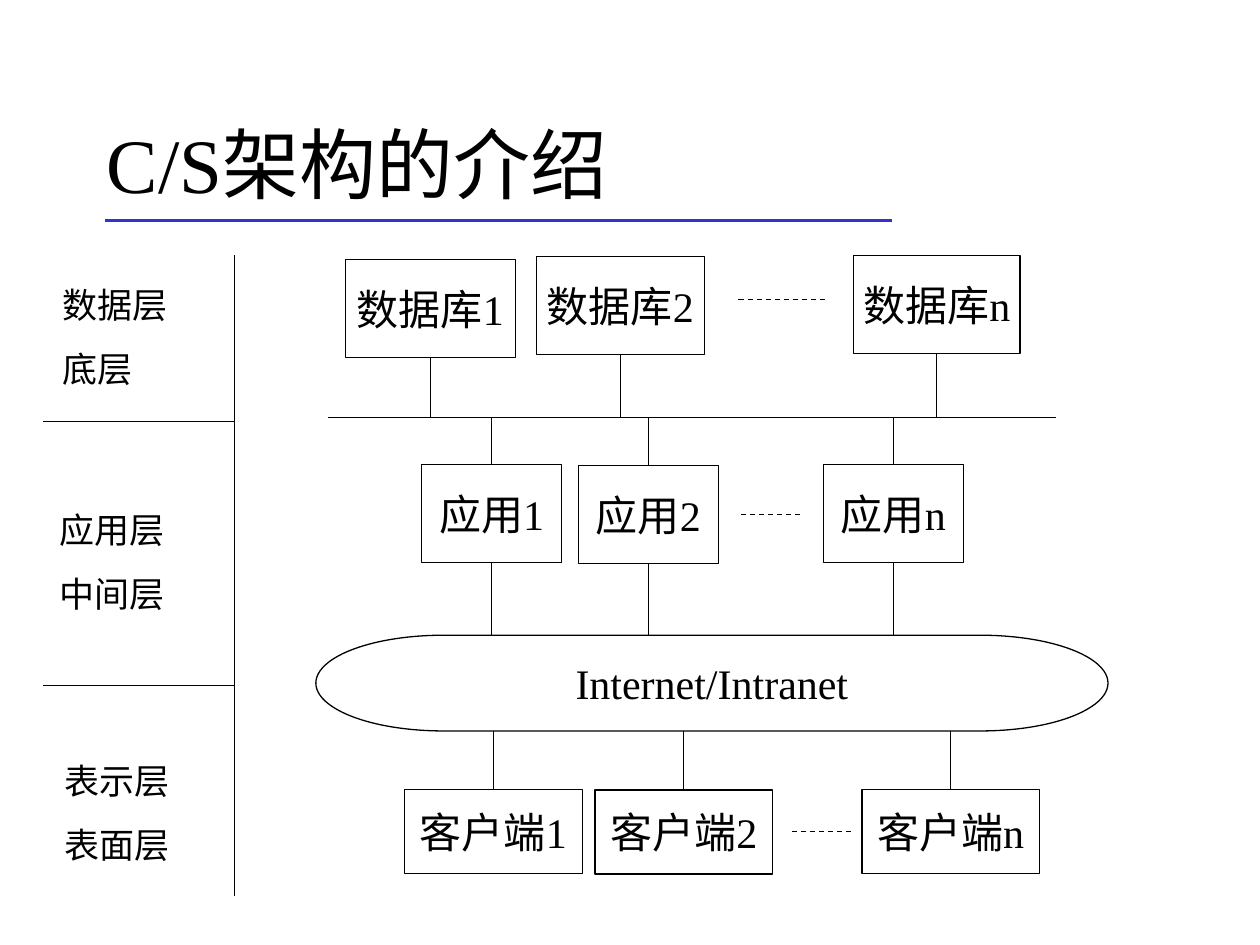
from typing import NamedTuple

from lxml.etree import SubElement
from pptx import Presentation
from pptx.dml.color import RGBColor
from pptx.enum.dml import MSO_LINE_DASH_STYLE as Dash
from pptx.enum.shapes import MSO_CONNECTOR as Wire, MSO_SHAPE as Form
from pptx.enum.text import MSO_ANCHOR as Anchor, PP_ALIGN as Align
from pptx.oxml.ns import qn
from pptx.util import Pt

INK = "000000"
BLUE = "3333CC"
FONT = "Times New Roman"
BUS = 238.5
NET_TOP, NET_HIGH = 363, 54.7
NET_END = NET_TOP + NET_HIGH


class Box(NamedTuple):
    text: str
    left: float
    top: float
    wide: float


class Tier(NamedTuple):
    boxes: list[Box]
    high: float
    above: float | None
    below: float | None
    dots: tuple[float, float, float]


class Label(NamedTuple):
    lines: list[str]
    left: float
    top: float


class Rule(NamedTuple):
    x1: float
    y1: float
    x2: float
    y2: float
    color: str = INK
    width: float = 0.75


TIERS = [
    Tier([Box("数据库1", 197.3, 148.5, 97.3), Box("数据库2", 306.5, 146.5, 96),
          Box("数据库n", 487.8, 146, 95)], 56, None, BUS, (422, 472, 171)),
    Tier([Box("应用1", 241, 265.5, 80), Box("应用2", 330.5, 266, 80),
          Box("应用n", 470.5, 265.5, 80)], 56, BUS, NET_TOP, (423.5, 458, 294)),
    Tier([Box("客户端1", 231.2, 451, 101.5), Box("客户端2", 340, 451.5, 101.5),
          Box("客户端n", 492.5, 451, 101.5)], 48, NET_END, None, (452.5, 487, 475)),
]
LABELS = [
    Label(["数据层", "底层"], 28.5, 158.5),
    Label(["应用层", "中间层"], 27, 287.3),
    Label(["表示层", "表面层"], 30, 430.5),
]
RULES = [
    Rule(60, 126, 510, 126, BLUE, 2.25),
    Rule(187.2, BUS, 603.5, BUS),
    Rule(134, 146, 134, 512),
    Rule(134, 241, 24.5, 241),
    Rule(134, 391.7, 24.5, 391.7),
]


def paint(target, color: str) -> None:
    target.rgb = RGBColor.from_string(color)


def write(shape, lines: list[str], *, size: float, align=Align.LEFT,
          anchor=Anchor.MIDDLE, wrap: bool = True, before: float = 0) -> None:
    frame = shape.text_frame
    frame.word_wrap = wrap
    frame.vertical_anchor = anchor
    frame.text = "\n".join(lines)
    for para in frame.paragraphs:
        para.alignment = align
        para.space_before = Pt(before)
        font = para.runs[0].font
        font.name = FONT
        font.size = Pt(size)
        paint(font.color, INK)


def node(slide, form, box: Box, high: float):
    shape = slide.shapes.add_shape(
        form, Pt(box.left), Pt(box.top), Pt(box.wide), Pt(high))
    shape.shadow.inherit = False
    shape.fill.background()
    paint(shape.line.color, INK)
    shape.line.width = Pt(0.75)
    write(shape, [box.text], size=24, align=Align.CENTER, wrap=False)
    return shape


def draw(slide, rule: Rule, dash=None):
    wire = slide.shapes.add_connector(
        Wire.STRAIGHT, Pt(rule.x1), Pt(rule.y1), Pt(rule.x2), Pt(rule.y2))
    paint(wire.line.color, rule.color)
    wire.line.width = Pt(rule.width)
    if dash:
        wire.line.dash_style = dash
    SubElement(wire._element.spPr, qn("a:effectLst"))
    return wire


def link(slide, shape, box: Box, site: int, level: float) -> None:
    mid = box.left + box.wide / 2
    wire = draw(slide, Rule(mid, level, mid, level))
    wire.begin_connect(shape, site)


def build(slide, tier: Tier) -> None:
    for box in tier.boxes:
        shape = node(slide, Form.RECTANGLE, box, tier.high)
        for site, level in ((0, tier.above), (2, tier.below)):
            if level is not None:
                link(slide, shape, box, site, level)
    start, stop, level = tier.dots
    draw(slide, Rule(start, level, stop, level), Dash.DASH)


def main() -> None:
    deck = Presentation()
    deck.slide_width, deck.slide_height = Pt(720), Pt(540)
    slide = deck.slides.add_slide(deck.slide_layouts[6])
    title = slide.shapes.add_textbox(Pt(54), Pt(48), Pt(612), Pt(90))
    write(title, ["C/S架构的介绍"], size=44)
    for rule in RULES:
        draw(slide, rule)
    for tier in TIERS:
        build(slide, tier)
    net = Box("Internet/Intranet", 180.5, NET_TOP, 452.7)
    node(slide, Form.FLOWCHART_TERMINATOR, net, NET_HIGH)
    for label in LABELS:
        area = slide.shapes.add_textbox(
            Pt(label.left), Pt(label.top), Pt(97), Pt(67.5))
        write(area, label.lines, size=20, align=Align.JUSTIFY,
              anchor=Anchor.TOP, before=12.5)
    deck.save("out.pptx")


if __name__ == "__main__":
    main()
